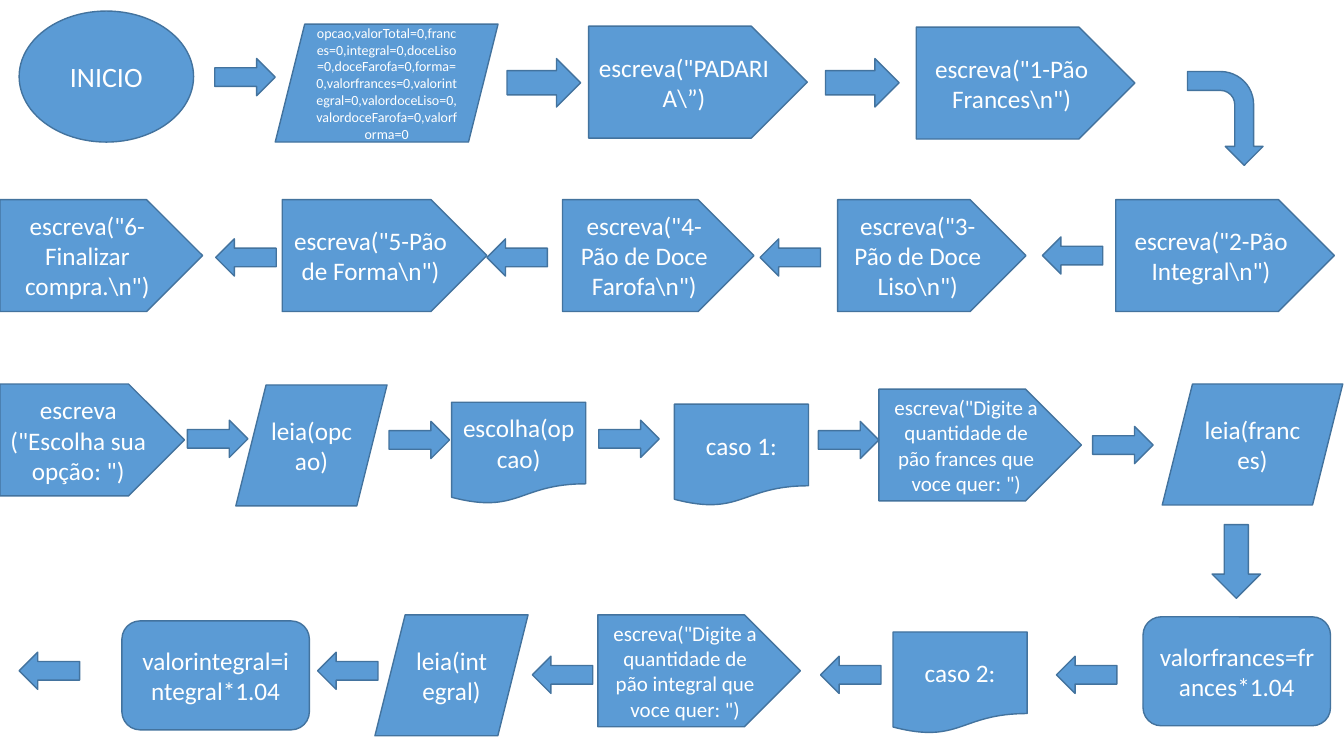
from pptx import Presentation, util as u
from pptx.dml.color import RGBColor
from pptx.enum import shapes, text

THEME = dict(fill="5B9BD5", line="43739E", ink="FFFFFF", font="Calibri",
             title=20, body=18, long=15, small=10)
M = shapes.MSO_SHAPE

# Kinds of step: preset shape, usual width, height
KINDS = {
    "start": (M.OVAL, 124.6, 93.6),
    "data": (M.PARALLELOGRAM, 159.1, 84.2),
    "read": (M.PARALLELOGRAM, 108, 86.4),
    "write": (M.PENTAGON, 156.2, 79.9),
    "case": (M.FLOWCHART_DOCUMENT, 95.8, 72.7),
    "calc": (M.ROUNDED_RECTANGLE, 133.9, 77.8),
}

# Steps in reading order: kind, left, top, text, options
STEPS = [
    ("start", 13.7, 7.9, "INICIO", dict(size="title")),
    ("data", 196.6, 17.3,
     "opcao,valorTotal=0,frances=0,integral=0,doceLiso=0,doceFarofa=0,forma=0,"
     "valorfrances=0,valorintegral=0,valordoceLiso=0,valordoceFarofa=0,valorforma=0",
     dict(size="small")),
    ("write", 420.5, 18.7, 'escreva("PADARIA\\”)', {}),
    ("write", 654.5, 19.4, 'escreva("1-Pão Frances\\n")', {}),
    ("write", 797, 142.6, 'escreva("2-Pão Integral\\n")', {}),
    ("write", 598.3, 142.6, 'escreva("3-Pão de Doce Liso\\n")', dict(width=134.6)),
    ("write", 401.8, 142.6, 'escreva("4-Pão de Doce Farofa\\n")', dict(width=136.8)),
    ("write", 201.6, 142.6, 'escreva("5-Pão de Forma\\n")', dict(width=146.2)),
    ("write", 0, 142.6, 'escreva("6-Finalizar compra.\\n")', dict(width=144.7)),
    ("write", 0, 274.3, 'escreva ("Escolha sua opção: ")', dict(width=131.8)),
    ("read", 168.5, 275, "leia(opcao)", {}),
    ("case", 322.6, 287.3, "escolha(opcao)", {}),
    ("case", 481.7, 288.7, "caso 1:", {}),
    ("write", 627.8, 277.9, 'escreva("Digite a quantidade de pão frances que voce quer: ")',
     dict(width=144.7, size="long")),
    ("read", 830.2, 274.3, "leia(frances)", dict(width=128.9)),
    ("calc", 816.5, 440.6, "valorfrances=frances*1.04", {}),
    ("case", 637.9, 451.4, "caso 2:", {}),
    ("write", 427, 439.2, 'escreva("Digite a quantidade de pão integral que voce quer: ")',
     dict(width=144.7, size="long")),
    ("read", 267.8, 439.2, "leia(integral)", dict(width=109.4)),
    ("calc", 87.1, 443.5, "valorintegral=integral*1.04", {}),
]

# Arrows: preset shape, size, turn in degrees, (left, top) of each
SMALL, LARGE = (43.2, 26.6), (52.6, 34.6)
ARROWS = [
    (M.RIGHT_ARROW, SMALL, 0, [(153.4, 41.8), (133.9, 300.2), (277.9, 301),
                               (427.7, 300.2), (584.6, 301), (780.5, 304.6)]),
    (M.RIGHT_ARROW, LARGE, 0, [(362.2, 41.8), (589.7, 41.8)]),
    (M.BENT_ARROW, (67, 54), 90, [(841.7, 57.6)]),
    (M.RIGHT_ARROW, SMALL, 180, [(744.5, 169.2), (542.9, 170.6), (347.8, 170.6),
                                 (154.1, 170.6), (754.6, 468.7), (586.1, 468.7),
                                 (380.2, 468.7), (226.8, 465.8), (13.7, 465.8)]),
    (M.RIGHT_ARROW, LARGE, 90, [(856.8, 383.8)]),
]

prs = Presentation()
prs.slide_width, prs.slide_height = u.Pt(960), u.Pt(540)
slide = prs.slides.add_slide(prs.slide_layouts[6])


def color(name):
    return RGBColor.from_string(THEME[name])


def add_block(preset, left, top, width, height, turn=0):
    sp = slide.shapes.add_shape(preset, *map(u.Pt, (left, top, width, height)))
    sp.rotation = turn
    sp.shadow.inherit = False
    sp.fill.solid()
    sp.fill.fore_color.rgb = color("fill")
    sp.line.color.rgb = color("line")
    sp.line.width = u.Pt(1)
    return sp


def write_text(sp, words, size="body", ink="ink"):
    tf = sp.text_frame
    tf.word_wrap = True
    tf.vertical_anchor = text.MSO_ANCHOR.MIDDLE
    p = tf.paragraphs[0]
    p.alignment = text.PP_ALIGN.CENTER
    r = p.add_run()
    r.text = words
    r.font.name = THEME["font"]
    r.font.size = u.Pt(THEME[size])
    r.font.color.rgb = color(ink)


# Steps of the flow
for kind, left, top, words, options in STEPS:
    preset, width, height = KINDS[kind]
    sp = add_block(preset, left, top, options.get("width", width), height)
    write_text(sp, words, size=options.get("size", "body"))

# Arrows between steps
for preset, size, turn, places in ARROWS:
    for left, top in places:
        add_block(preset, left, top, *size, turn=turn)

prs.save("out.pptx")
